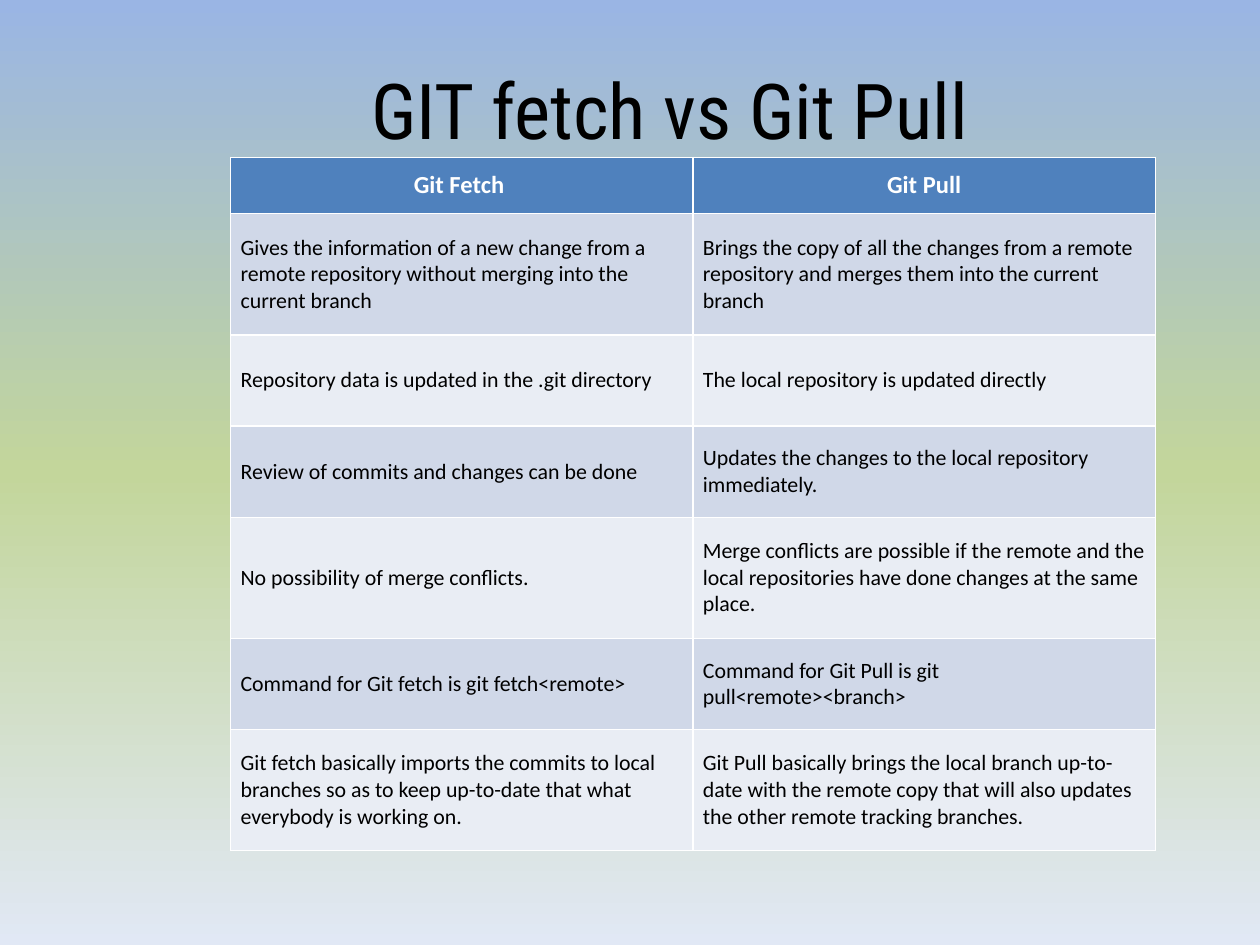
from copy import deepcopy

from pptx import Presentation
from pptx.dml.color import RGBColor
from pptx.enum.text import MSO_ANCHOR, PP_ALIGN
from pptx.util import Cm, Pt


def color(hex_string):
    return RGBColor.from_string(hex_string)


presentation = Presentation()
presentation.slide_width = Cm(25.4)
presentation.slide_height = Cm(19.05)
slide = presentation.slides.add_slide(presentation.slide_layouts[5])

# Background: vertical three-colour gradient
background = slide.background.fill
background.gradient()
background.gradient_angle = 270
stop_list = slide.element.xpath(".//a:gsLst")[0]
stop_list.append(deepcopy(stop_list[-1]))
gradient_steps = [(0, "9AB5E4"), (0.5, "C3D69B"), (1, "E1E8F5")]
for stop, (position, tint) in zip(background.gradient_stops, gradient_steps):
    stop.position = position
    stop.color.rgb = color(tint)

# Title
title = slide.shapes.title
title.left, title.top, title.width, title.height = Cm(3.81), Cm(0.64), Cm(19.05), Cm(3.1)
title.text_frame.vertical_anchor = MSO_ANCHOR.MIDDLE
heading = title.text_frame.paragraphs[0]
heading.alignment = PP_ALIGN.CENTER
for words, font_name in [(" ", "Calibri"), ("GIT fetch vs Git Pull", "Roboto Condensed")]:
    run = heading.add_run()
    run.text = words
    run.font.name = font_name
    run.font.size = Pt(44)
    run.font.color.rgb = color("000000")

# Comparison table: row height in cm, fetch, pull
comparison = [
    (1.14, "Git Fetch ", "Git Pull"),
    (2.44, "Gives the information of a new change from a remote repository without "
           "merging into the current branch",
     "Brings the copy of all the changes from a remote repository and merges them "
     "into the current branch"),
    (1.84, "Repository data is updated in the .git directory",
     "The local repository is updated directly"),
    (1.84, "Review of commits and changes can be done",
     "Updates the changes to the local repository immediately."),
    (2.44, "No possibility of merge conflicts.",
     "Merge conflicts are possible if the remote and the local repositories have "
     "done changes at the same place."),
    (1.84, "Command for Git fetch is git fetch<remote>",
     "Command for Git Pull is git pull<remote><branch>"),
    (2.44, "Git fetch basically imports the commits to local branches so as to keep "
           "up-to-date that what everybody is working on.",
     "Git Pull basically brings the local branch up-to-date with the remote copy "
     "that will also updates the other remote tracking branches."),
]
# The default table style supplies the white cell borders
table = slide.shapes.add_table(
    len(comparison), 2, Cm(4.65), Cm(3.17), Cm(18.64), Cm(13.98)).table
for column in table.columns:
    column.width = Cm(9.32)

for row_index, (height, *entries) in enumerate(comparison):
    table.rows[row_index].height = Cm(height)
    is_header = row_index == 0
    band = "4F81BD" if is_header else "D0D8E8" if row_index % 2 else "E9EDF4"
    for column_index, entry in enumerate(entries):
        cell = table.cell(row_index, column_index)
        cell.text = entry
        cell.fill.solid()
        cell.fill.fore_color.rgb = color(band)
        cell.vertical_anchor = MSO_ANCHOR.MIDDLE
        side_margin = 0.1 if is_header and column_index == 0 else 0.2
        cell.margin_left = cell.margin_right = Cm(side_margin)
        cell.margin_top = cell.margin_bottom = Cm(0.2 if is_header else 0.3)
        paragraph = cell.text_frame.paragraphs[0]
        paragraph.alignment = PP_ALIGN.CENTER if is_header else PP_ALIGN.LEFT
        paragraph.font.name = "Calibri"
        paragraph.font.size = Pt(14 if is_header else 12.5)
        paragraph.font.bold = is_header
        paragraph.font.color.rgb = color("FFFFFF" if is_header else "000000")

presentation.save("out.pptx")
